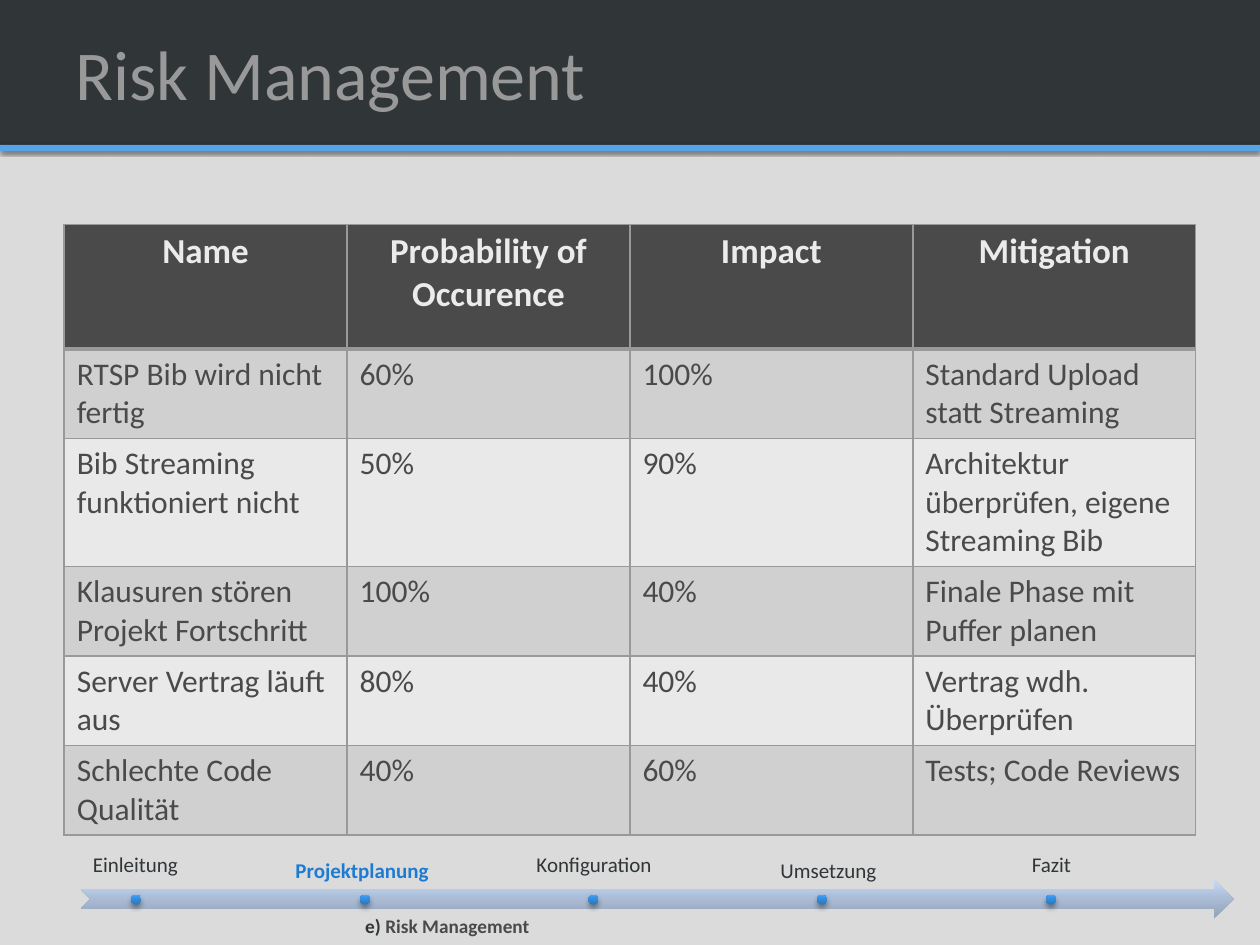
from copy import deepcopy
from lxml import etree
from pptx import Presentation
from pptx.dml.color import RGBColor
from pptx.enum.shapes import MSO_SHAPE
from pptx.enum.text import MSO_ANCHOR, PP_ALIGN
from pptx.oxml.ns import qn
from pptx.util import Inches, Pt

RECTANGLE, OVAL, ARROW = MSO_SHAPE.RECTANGLE, MSO_SHAPE.OVAL, MSO_SHAPE.NOTCHED_RIGHT_ARROW
TOP, MIDDLE, BOTTOM = MSO_ANCHOR.TOP, MSO_ANCHOR.MIDDLE, MSO_ANCHOR.BOTTOM
LEFT, CENTER = PP_ALIGN.LEFT, PP_ALIGN.CENTER
DARK, GRAY, LINE, BLUE = "303538", "4A4A4A", "999999", "1D7CD2"
hex_color = RGBColor.from_string

deck = Presentation()
deck.slide_width, deck.slide_height = Inches(10), Inches(7.5)
COLUMN, ROW = deck.slide_width / 100, deck.slide_height / 75
page = deck.slides.add_slide(deck.slide_layouts[5])
page.background.fill.solid()
page.background.fill.fore_color.rgb = hex_color("DBDBDB")


def place(left, top, width, height):
    return [round(left * COLUMN), round(top * ROW), round(width * COLUMN), round(height * ROW)]


def style(para, size, color, bold=False, align=LEFT):
    para.alignment = align
    for span in para.runs:
        span.font.name, span.font.size, span.font.bold = "Calibri", Pt(size), bold
        span.font.color.rgb = hex_color(color)


DOT_COLORS = ["2C77BB", "338CDC", "3DA3FF"]
ARROW_COLORS = ["92A1B7", "ACBED7", "C9DDFB"]
figures = [
    (RECTANGLE, (0, 0, 100, 11.5), [DARK], None),
    (RECTANGLE, (0, 11.5, 100, 0.5), ["57A3E8"], (60, 2.5, 0.8)),
    (ARROW, (6.4, 69.8, 91.5, 3.1), ARROW_COLORS, None),
]
for step in range(5):
    figures.append((OVAL, (10.4 + 18.15 * step, 71, 0.8, 0.8), DOT_COLORS, (38, 3.1, 2)))

for kind, area, colors, shadow in figures:
    shape = page.shapes.add_shape(kind, *place(*area))
    shape.line.fill.background()
    shape.shadow.inherit = False
    if len(colors) == 1:
        shape.fill.solid()
        shape.fill.fore_color.rgb = hex_color(colors[0])
    else:
        shape.fill.gradient()
        shape.fill.gradient_angle = 90
        stop_list = shape.element.spPr.find(".//" + qn("a:gsLst"))
        stop_list.append(deepcopy(stop_list[0]))
        for stop, position, color in zip(shape.fill.gradient_stops, (0, 0.55, 1), colors):
            stop.position = position
            stop.color.rgb = hex_color(color)
    if shadow:
        opacity, blur, distance = shadow
        effects = shape.element.spPr.find(qn("a:effectLst"))
        outer = etree.SubElement(effects, qn("a:outerShdw"), blurRad=str(Pt(blur)),
                                 dist=str(Pt(distance)), dir="5400000", rotWithShape="0")
        tone = etree.SubElement(outer, qn("a:srgbClr"), val="000000")
        etree.SubElement(tone, qn("a:alpha"), val=str(opacity * 1000))

title = page.shapes.title
title.left, title.top, title.width, title.height = place(5, 0, 85.9, 11.5)
title.text_frame.text = "Risk Management"
title.text_frame.vertical_anchor = MIDDLE
style(title.text_frame.paragraphs[0], 40, LINE)
title.element.getparent().append(title.element)

risks = [
    ("Name", "Probability of Occurence", "Impact", "Mitigation"),
    ("RTSP Bib wird nicht fertig", "60%", "100%", "Standard Upload statt Streaming"),
    ("Bib Streaming funktioniert nicht", "50%", "90%",
     "Architektur überprüfen, eigene Streaming Bib"),
    ("Klausuren stören Projekt Fortschritt", "100%", "40%", "Finale Phase mit Puffer planen"),
    ("Server Vertrag läuft aus", "80%", "40%", "Vertrag wdh. Überprüfen"),
    ("Schlechte Code Qualität", "40%", "60%", "Tests; Code Reviews"),
]
table = page.shapes.add_table(len(risks), 4, *place(5.1, 17.8, 89.8, 38.4)).table
for index, values in enumerate(risks):
    header = index == 0
    table.rows[index].height = round((9.9 if header else 5.7) * ROW)
    widths = {"L": 1, "R": 1, "T": 3 if index == 1 else 1, "B": 3 if header else 1}
    for column, value in enumerate(values):
        cell = table.cell(index, column)
        cell.text_frame.text = value
        if header:
            style(cell.text_frame.paragraphs[0], 20, "EBEBEB", True, CENTER)
        else:
            style(cell.text_frame.paragraphs[0], 18, GRAY)
        properties = cell._tc.get_or_add_tcPr()
        for side, width in widths.items():
            border = etree.SubElement(properties, qn("a:ln" + side), w=str(Pt(width)))
            paint = etree.SubElement(border, qn("a:solidFill"))
            etree.SubElement(paint, qn("a:srgbClr"), val=LINE)
        cell.fill.solid()
        cell.fill.fore_color.rgb = hex_color(GRAY if header else ("E9E9E9", "D0D0D0")[index % 2])

labels = [("Einleitung", 2.1), ("Projektplanung", 20.1), ("Konfiguration", 38.5),
          ("Umsetzung", 57.1), ("Fazit", 74.8)]
for index, (label, left) in enumerate(labels):
    current = label == "Projektplanung"
    box = page.shapes.add_textbox(*place(left, 67.4, 17.3, 3.1))
    frame = box.text_frame
    frame.text = label
    frame.word_wrap = True
    frame.vertical_anchor = TOP if index % 2 else BOTTOM
    frame.margin_left = frame.margin_right = frame.margin_top = frame.margin_bottom = round(0.9 * ROW)
    frame.paragraphs[0].line_spacing = 0.9
    style(frame.paragraphs[0], 12, BLUE if current else DARK, current, CENTER)

caption = page.shapes.add_textbox(*place(28, 72.1, 31.1, 2.9))
caption.text_frame.word_wrap = True
para = caption.text_frame.paragraphs[0]
for text in ("e) ", "Risk Management"):
    para.add_run().text = text
style(para, 11, DARK, True)
para.runs[1].font.color.rgb = hex_color(GRAY)

deck.save("out.pptx")
